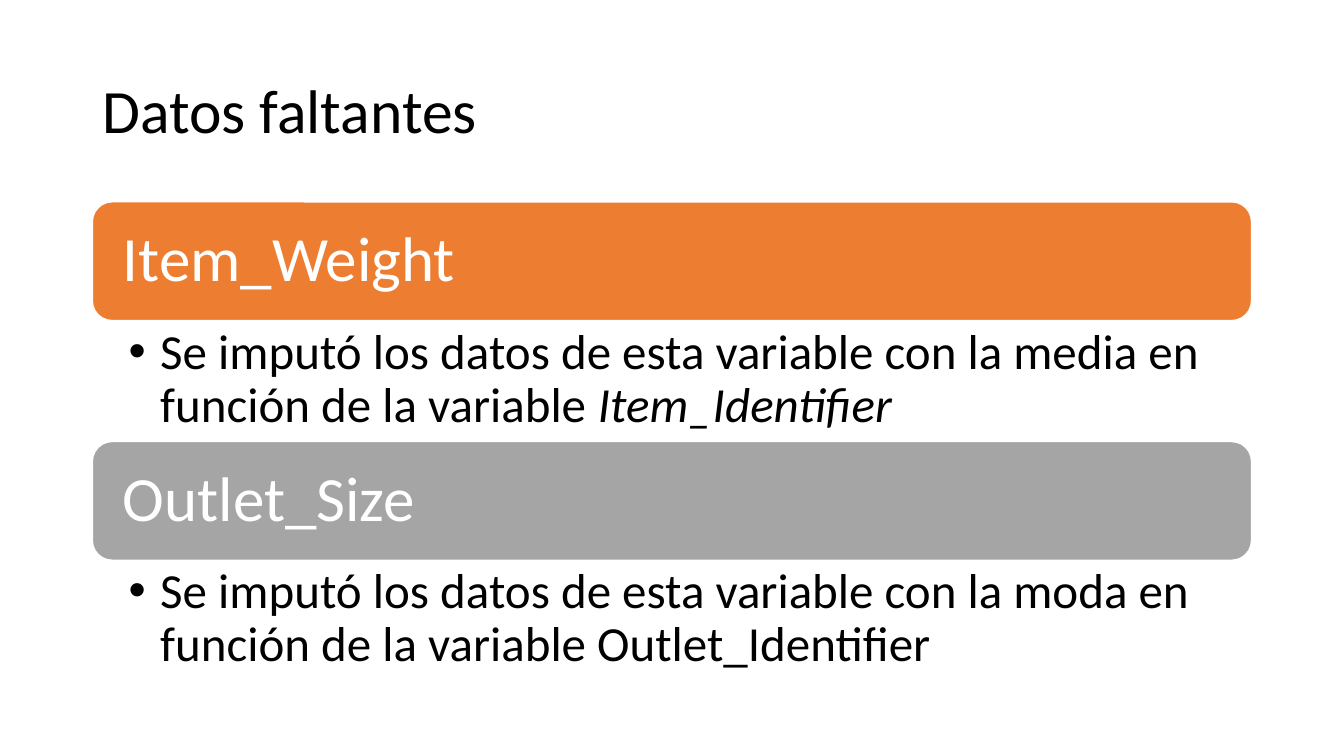
"""Builds a slide on how missing data were imputed."""
from pptx import Presentation
from pptx.dml.color import RGBColor
from pptx.enum import shapes, text
from pptx.oxml import parse_xml
from pptx.oxml.ns import nsdecls
from pptx.util import Pt

INK = {"black": "000000", "white": "FFFFFF", "orange": "ED7D31", "gray": "A5A5A5"}
LEFT, WIDE = 66, 828
TOP, BAR, BODY = 144.2, 84.8, 86.4
ITEMS = [
    ("Item_Weight", "orange",
     [("Se imputó los datos de esta variable con la media en función de la variable ", False),
      ("Item_Identifier", True)]),
    ("Outlet_Size", "gray",
     [("Se imputó los datos de esta variable con la moda en función de la variable "
       "Outlet_Identifier", False)]),
]


class Deck:
    font = "Calibri"

    def __init__(self):
        self.prs = Presentation()
        self.prs.slide_width, self.prs.slide_height = Pt(960), Pt(540)
        self.slide = self.prs.slides.add_slide(self.prs.slide_layouts[5])

    def style(self, para, size, color):
        para.alignment = text.PP_ALIGN.LEFT
        para.line_spacing = 0.9
        for run in para.runs:
            run.font.name, run.font.size = self.font, Pt(size)
            run.font.color.rgb = RGBColor.from_string(INK[color])

    def frame(self, shape, sides, ends, anchor):
        box = shape.text_frame
        box.word_wrap = True
        box.auto_size = text.MSO_AUTO_SIZE.NONE
        box.vertical_anchor = anchor
        box.margin_left = box.margin_right = Pt(sides)
        box.margin_top = box.margin_bottom = Pt(ends)
        return box

    def title(self, words):
        shape = self.slide.shapes.title
        shape.left, shape.top, shape.width, shape.height = Pt(LEFT), Pt(28.8), Pt(WIDE), Pt(104.4)
        box = self.frame(shape, 7.2, 3.6, text.MSO_ANCHOR.MIDDLE)
        box.text = words
        self.style(box.paragraphs[0], 44, "black")

    def bar(self, top, words, color):
        shape = self.slide.shapes.add_shape(
            shapes.MSO_SHAPE.ROUNDED_RECTANGLE, Pt(LEFT), Pt(top), Pt(WIDE), Pt(BAR))
        shape.shadow.inherit = False
        shape.fill.solid()
        shape.fill.fore_color.rgb = RGBColor.from_string(INK[color])
        shape.line.color.rgb = RGBColor.from_string(INK["white"])
        shape.line.width = Pt(1)
        box = self.frame(shape, 17.6, 13.5, text.MSO_ANCHOR.MIDDLE)
        box.text = words
        self.style(box.paragraphs[0], 45, "white")

    def bullet(self, top, parts):
        shape = self.slide.shapes.add_textbox(Pt(LEFT), Pt(top), Pt(WIDE), Pt(BODY))
        box = self.frame(shape, 26, 4.4, text.MSO_ANCHOR.TOP)
        para = box.paragraphs[0]
        for words, slant in parts:
            run = para.add_run()
            run.text = words
            run.font.italic = slant
        self.style(para, 35, "black")
        props = para._p.get_or_add_pPr()
        props.set("marL", str(Pt(22.5)))
        props.set("indent", str(Pt(-22.5)))
        props.append(parse_xml(f'<a:buFont {nsdecls("a")} typeface="Arial"/>'))
        props.append(parse_xml(f'<a:buChar {nsdecls("a")} char="•"/>'))


def main():
    deck = Deck()
    deck.title("Datos faltantes")
    for row, (name, color, parts) in enumerate(ITEMS):
        top = TOP + row * (BAR + BODY)
        deck.bar(top, name, color)
        deck.bullet(top + BAR, parts)
    deck.prs.save("out.pptx")


if __name__ == "__main__":
    main()
